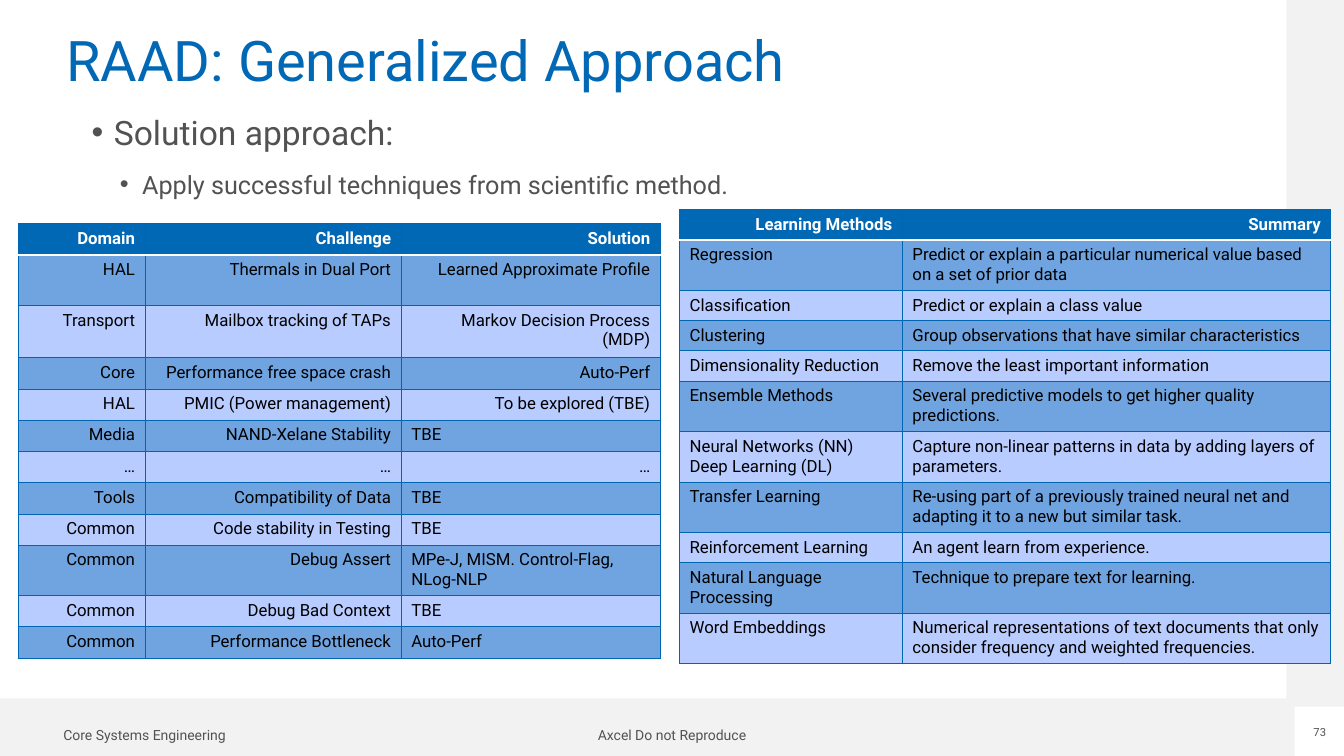
from lxml.etree import SubElement
from pptx import Presentation
from pptx.dml.color import RGBColor
from pptx.enum.shapes import MSO_SHAPE
from pptx.enum.text import PP_ALIGN
from pptx.oxml.ns import qn
from pptx.util import Inches, Pt

FONT = "Roboto"
BLUE = RGBColor(0x00, 0x68, 0xB5)
BORDER = RGBColor(0x00, 0x66, 0xB1)
DARK_BAND = RGBColor(0x6F, 0xA4, 0xE1)
LIGHT_BAND = RGBColor(0xB9, 0xCC, 0xFF)
PALE_GRAY = RGBColor(0xF2, 0xF2, 0xF2)
TEXT_GRAY = RGBColor(0x52, 0x52, 0x52)
WHITE = RGBColor(0xFF, 0xFF, 0xFF)
BLACK = RGBColor(0x00, 0x00, 0x00)
LEFT, CENTER, RIGHT = PP_ALIGN.LEFT, PP_ALIGN.CENTER, PP_ALIGN.RIGHT


def add_run(paragraph, text, size, color, bold=False):
    run = paragraph.add_run()
    run.text = text
    run.font.name = FONT
    run.font.size = Pt(size)
    run.font.bold = bold
    run.font.color.rgb = color


def add_border(cell, side, color, width):
    line = SubElement(cell._tc.get_or_add_tcPr(), qn(f"a:{side}"), w=str(Pt(width)))
    fill = SubElement(line, qn("a:solidFill"))
    SubElement(fill, qn("a:srgbClr"), val=str(color))


presentation = Presentation()
presentation.slide_width = Inches(13.33)
presentation.slide_height = Inches(7.5)
slide = presentation.slides.add_slide(presentation.slide_layouts[6])

# Gray bands along the bottom and right edges
for left, top, width, height in [(0, 6.93, 12.84, 0.57), (12.76, 0, 0.57, 7.01)]:
    band = slide.shapes.add_shape(
        MSO_SHAPE.RECTANGLE, Inches(left), Inches(top), Inches(width), Inches(height))
    band.shadow.inherit = False
    band.fill.solid()
    band.fill.fore_color.rgb = PALE_GRAY
    band.line.fill.background()

# Footer and title
labels = [
    ("Axcel Do not Reproduce", 5.83, 7.18, 1.67, 0.25, 10, TEXT_GRAY, CENTER, 0.1, 0.05, 0.9),
    ("Core Systems Engineering", 0.53, 7.18, 1.86, 0.25, 10, TEXT_GRAY, LEFT, 0.1, 0.05, 0.9),
    ("73", 13.02, 7.2, 0.14, 0.13, 8, TEXT_GRAY, CENTER, 0, 0, 1.0),
    ("RAAD: Generalized Approach", 0.66, 0.33, 12, 0.7, 40, BLUE, LEFT, 0, 0, 0.9),
]
for text, left, top, width, height, size, color, align, inset_x, inset_y, spacing in labels:
    label = slide.shapes.add_textbox(
        Inches(left), Inches(top), Inches(width), Inches(height)).text_frame
    label.word_wrap = size == 40
    label.margin_left = label.margin_right = Inches(inset_x)
    label.margin_top = label.margin_bottom = Inches(inset_y)
    label.paragraphs[0].alignment = align
    label.paragraphs[0].line_spacing = spacing
    add_run(label.paragraphs[0], text, size, color)

# Bulleted introduction
intro = slide.shapes.add_textbox(
    Inches(0.66), Inches(1.11), Inches(12), Inches(0.95)).text_frame
intro.word_wrap = True
intro.margin_left = intro.margin_right = intro.margin_top = intro.margin_bottom = 0
bullets = [
    ("Solution approach:", 24, 0.47),
    ("Apply successful techniques from scientific method.", 18, 0.75),
]
for level, (text, size, indent) in enumerate(bullets):
    bullet = intro.add_paragraph() if level else intro.paragraphs[0]
    properties = bullet._p.get_or_add_pPr()
    properties.set("marL", str(Inches(indent)))
    properties.set("indent", str(Inches(-0.22)))
    SubElement(properties, qn("a:buFont"), typeface="Arial")
    SubElement(properties, qn("a:buChar"), char="•")
    bullet.level = level
    if level:
        bullet.space_before = Pt(12)
    add_run(bullet, text, size, TEXT_GRAY)

# Tables
domains = [
    ("Domain", "Challenge", "Solution"),
    ("HAL", "Thermals in Dual Port", "Learned Approximate Profile"),
    ("Transport", "Mailbox tracking of TAPs", "Markov Decision Process (MDP)"),
    ("Core", "Performance free space crash", "Auto-Perf"),
    ("HAL", "PMIC (Power management)", "To be explored (TBE)"),
    ("Media", "NAND-Xelane Stability", "TBE"),
    ("…", "…", "…"),
    ("Tools", "Compatibility of Data", "TBE"),
    ("Common", "Code stability in Testing", "TBE"),
    ("Common", "Debug Assert", "MPe-J, MISM. Control-Flag, NLog-NLP"),
    ("Common", "Debug Bad Context", "TBE"),
    ("Common", "Performance Bottleneck", "Auto-Perf"),
]
methods = [
    ("Learning Methods", "Summary"),
    ("Regression",
     "Predict or explain a particular numerical value based on a set of prior data"),
    ("Classification", "Predict or explain a class value"),
    ("Clustering", "Group observations that have similar characteristics"),
    ("Dimensionality Reduction", "Remove the least important information"),
    ("Ensemble Methods", "Several predictive models to get higher quality predictions."),
    ("Neural Networks (NN)\nDeep Learning (DL)",
     "Capture non-linear patterns in data by adding layers of parameters."),
    ("Transfer Learning",
     "Re-using part of a previously trained neural net and adapting it to a new "
     "but similar task."),
    ("Reinforcement Learning", "An agent learn from experience."),
    ("Natural Language Processing", "Technique to prepare text for learning."),
    ("Word Embeddings",
     "Numerical representations of text documents that only consider frequency and "
     "weighted frequencies."),
]
# Rows of the last domain column that are set flush left
left_solutions = {5, 7, 8, 9, 10, 11}
tables = [
    (domains, 0.18, 2.22, [1.26, 2.54, 2.57], 0.31, {1: 0.5, 2: 0.52, 9: 0.5}),
    (methods, 6.74, 2.08, [2.21, 4.25], 0.3, dict.fromkeys([1, 5, 6, 7, 9, 10], 0.5)),
]
for rows, left, top, widths, row_height, tall_rows in tables:
    heights = [tall_rows.get(index, row_height) for index in range(len(rows))]
    table = slide.shapes.add_table(
        len(rows), len(widths), Inches(left), Inches(top),
        Inches(sum(widths)), Inches(sum(heights))).table
    table.first_row = table.horz_banding = False
    for column, width in zip(table.columns, widths):
        column.width = Inches(width)
    for row_index, row in enumerate(rows):
        table.rows[row_index].height = Inches(heights[row_index])
        header = row_index == 0
        for column_index, text in enumerate(row):
            cell = table.cell(row_index, column_index)
            add_border(cell, "lnL", BORDER, 0.75)
            add_border(cell, "lnR", BORDER, 0.75)
            add_border(cell, "lnT", *((WHITE, 2) if row_index == 1 else (BORDER, 0.75)))
            add_border(cell, "lnB", *((WHITE, 2) if header else (BORDER, 0.75)))
            cell.fill.solid()
            cell.fill.fore_color.rgb = (
                BLUE if header else DARK_BAND if row_index % 2 else LIGHT_BAND)
            flush_left = not header and (
                rows is methods or (column_index == 2 and row_index in left_solutions))
            for line_index, line in enumerate(text.split("\n")):
                frame = cell.text_frame
                paragraph = frame.add_paragraph() if line_index else frame.paragraphs[0]
                paragraph.alignment = LEFT if flush_left else RIGHT
                add_run(paragraph, line, 12, WHITE if header else BLACK, header)

presentation.save("out.pptx")
